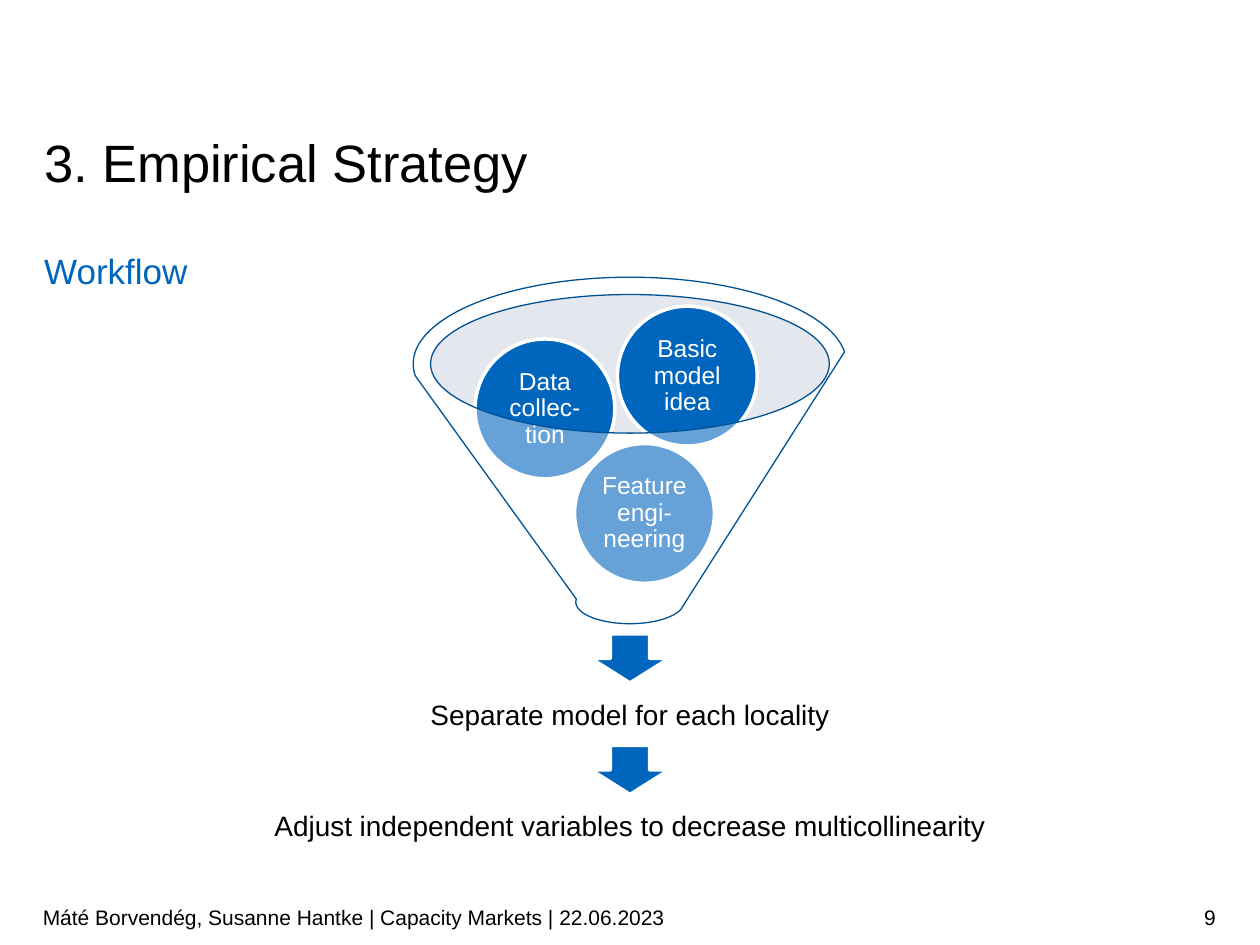
from dataclasses import dataclass
from lxml import etree
from pptx import Presentation
from pptx.dml.color import RGBColor
from pptx.enum.shapes import MSO_SHAPE
from pptx.enum.text import MSO_ANCHOR, PP_ALIGN
from pptx.oxml.ns import qn
from pptx.util import Inches, Pt

ELLIPSE, FUNNEL, DOWN_ARROW = MSO_SHAPE.OVAL, MSO_SHAPE.FUNNEL, MSO_SHAPE.DOWN_ARROW
TOP, MIDDLE = MSO_ANCHOR.TOP, MSO_ANCHOR.MIDDLE
LEFT, CENTER, RIGHT = PP_ALIGN.LEFT, PP_ALIGN.CENTER, PP_ALIGN.RIGHT

SLIDE_WIDTH, SLIDE_HEIGHT = Inches(10), Inches(7.5)
COLUMNS, ROWS = 100, 75
COLUMN, ROW = SLIDE_WIDTH / COLUMNS, SLIDE_HEIGHT / ROWS


@dataclass(frozen=True)
class Theme:
    font: str = "Arial"
    text: str = "000000"
    accent: str = "0065BD"
    outline: str = "005293"
    mouth: str = "BDC3D2"
    light: str = "FFFFFF"
    title: int = 30
    subtitle: int = 20
    caption: int = 16
    ball: int = 14
    footer: int = 12
    translucency: int = 40


THEME = Theme()


@dataclass(frozen=True)
class Box:
    x: float
    y: float
    width: float
    height: float

    def inner(self, x, y, width, height):
        return Box(self.x + x, self.y + y, width, height)

    def emu(self):
        return (round(self.x * COLUMN), round(self.y * ROW),
                round(self.width * COLUMN), round(self.height * ROW))


def apply(target, values):
    for name, value in values.items():
        setattr(target, name, value)


def write(shape, words, size, color=THEME.text, align=LEFT, anchor=MIDDLE,
          spacing=1.0, inset_x=0, inset_y=0):
    frame = shape.text_frame
    apply(frame, {"word_wrap": True, "vertical_anchor": anchor,
                  "margin_left": Inches(inset_x), "margin_right": Inches(inset_x),
                  "margin_top": Inches(inset_y), "margin_bottom": Inches(inset_y)})
    paragraph = frame.paragraphs[0]
    apply(paragraph, {"alignment": align, "line_spacing": spacing})
    run = paragraph.add_run()
    run.text = words
    apply(run.font, {"name": THEME.font, "size": Pt(size), "bold": False})
    run.font.color.rgb = RGBColor.from_string(color)


def add_text(slide, box, words, size, **style):
    write(slide.shapes.add_textbox(*box.emu()), words, size, **style)


def draw(slide, preset, box, fill, line=None, weight=2, opacity=100):
    shape = slide.shapes.add_shape(preset, *box.emu())
    shape.shadow.inherit = False
    shape.fill.solid()
    shape.fill.fore_color.rgb = RGBColor.from_string(fill)
    if opacity < 100:
        color = shape.fill._xPr.find(qn("a:solidFill"))[0]
        etree.SubElement(color, qn("a:alpha"), val=str(opacity * 1000))
    if line:
        shape.line.color.rgb = RGBColor.from_string(line)
        shape.line.width = Pt(weight)
    else:
        shape.line.fill.background()
    return shape


def add_heading(slide, box, title, subtitle):
    add_text(slide, box.inner(0, 0, box.width, 4.5), title, THEME.title,
             anchor=TOP, spacing=Pt(32))
    add_text(slide, box.inner(0, 8.4, box.width, 7.8), subtitle, THEME.subtitle,
             color=THEME.accent, anchor=TOP, spacing=1.14)


def add_funnel(slide, box, ingredients):
    draw(slide, ELLIPSE, box.inner(1.3, 1.4, 31.7, 11), THEME.mouth,
         opacity=THEME.translucency)
    diameter = 11.1
    for words, x, y in ingredients:
        ball = draw(slide, ELLIPSE, box.inner(x, y, diameter, diameter),
                    THEME.accent, line=THEME.light)
        write(ball, words, THEME.ball, color=THEME.light, align=CENTER,
              spacing=0.9, inset_x=0.02, inset_y=0.02)
    draw(slide, FUNNEL, box, THEME.light, line=THEME.outline, weight=0.75,
         opacity=THEME.translucency)


def add_step(slide, box, words):
    arrow_width, arrow_height, caption_height = 6.2, 3.9, 7.4
    draw(slide, DOWN_ARROW,
         box.inner((box.width - arrow_width) / 2, 0, arrow_width, arrow_height),
         THEME.accent, line=THEME.light)
    add_text(slide,
             box.inner(0, box.height - caption_height, box.width, caption_height),
             words, THEME.caption, align=CENTER, spacing=0.9,
             inset_x=0.12, inset_y=0.12)


def add_footer(slide, box, credit, number):
    credit_width = 70.7
    add_text(slide, box.inner(0, 0, credit_width, box.height), credit,
             THEME.footer, inset_y=0.05)
    add_text(slide, box.inner(credit_width, 0, box.width - credit_width, box.height),
             number, THEME.footer, align=RIGHT, inset_y=0.05)


def main():
    deck = Presentation()
    apply(deck, {"slide_width": SLIDE_WIDTH, "slide_height": SLIDE_HEIGHT})
    slide = deck.slides.add_slide(deck.slide_layouts[6])

    add_heading(slide, Box(3.5, 10.9, 93.1, 16.2), "3. Empirical Strategy", "Workflow")
    add_funnel(slide, Box(32.8, 22, 34.4, 27.5), [
        ("Feature engi-neering", 12.8, 13.2),
        ("Data collec-tion", 4.9, 4.9),
        ("Basic model idea", 16.2, 2.3),
    ])
    steps = [("Separate model for each locality", 39.6),
             ("Adjust independent variables to decrease multicollinearity", 68.8)]
    for index, (words, width) in enumerate(steps):
        add_step(slide, Box((COLUMNS - width) / 2, 50.3 + 8.85 * index, width, 10.25),
                 words)
    add_footer(slide, Box(3.4, 70.8, 93.1, 4),
               "Máté Borvendég, Susanne Hantke | Capacity Markets | 22.06.2023", "9")

    deck.save("out.pptx")


if __name__ == "__main__":
    main()
